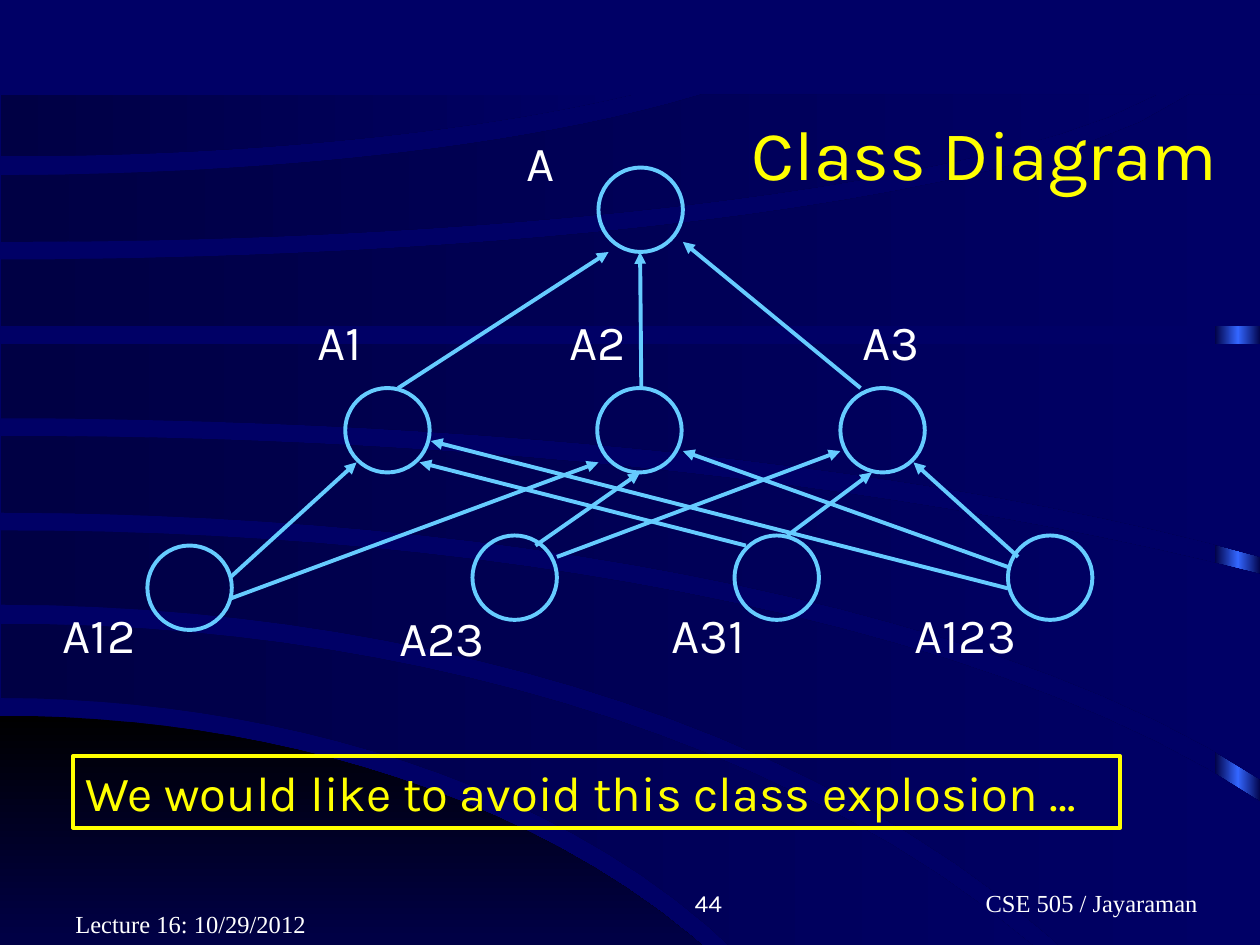
"""Build the class diagram slide with its wave backdrop, ring nodes and arrows."""
from copy import deepcopy
from dataclasses import dataclass
from math import sqrt

from lxml.etree import SubElement
from pptx import Presentation
from pptx.dml.color import RGBColor
from pptx.enum.shapes import MSO_CONNECTOR as Link, MSO_SHAPE as Preset
from pptx.enum.text import MSO_ANCHOR as Anchor, MSO_AUTO_SIZE as Fit, PP_ALIGN as Align
from pptx.oxml.ns import qn
from pptx.util import Inches, Pt

NAVY = RGBColor(0x00, 0x00, 0x66)
DEEP = RGBColor(0x00, 0x00, 0x44)
BLACK = RGBColor(0x00, 0x00, 0x00)
BRIGHT = RGBColor(0x33, 0x66, 0xFF)
SKY = RGBColor(0x66, 0xCC, 0xFF)
YELLOW = RGBColor(0xFF, 0xFF, 0x00)
WHITE = RGBColor(0xFF, 0xFF, 0xFF)
SANS, SERIF = "Karla", "Times New Roman"
STROKE = Pt(2.25)
RING = 0.67
LINE_HEIGHT = 0.57
RIGHT, TOP, BOTTOM = 10.01, 0.75, 8.25
STEPS = 24

Point = tuple[float, float]


@dataclass(frozen=True)
class Edge:
    """Elliptic arc, level at the left, that reaches a given end."""
    level: float
    end: Point
    radius: float = 20

    def points(self, left: float) -> list[Point]:
        """Sample the arc from left to right."""
        end_x, end_y = self.end

        def sag(x: float) -> float:
            return 1 - sqrt(1 - (x / self.radius) ** 2)

        xs = [left + (end_x - left) * step / STEPS for step in range(STEPS + 1)]
        return [(x, self.level + (end_y - self.level) * sag(x) / sag(end_x)) for x in xs]


@dataclass(frozen=True)
class Wave:
    """Band between two edges, with an optional corner at the right."""
    upper: Edge
    lower: Edge
    corner: tuple[Point, ...] = ()
    colors: tuple[RGBColor, RGBColor] = (DEEP, NAVY)
    angle: int = 0
    left: float = 0.01


@dataclass(frozen=True)
class Node:
    """Ring position with the place of its label."""
    name: str
    ring: Point
    label: Point
    height: float = LINE_HEIGHT


@dataclass(frozen=True)
class Arrow:
    """Straight arrow from a subclass to its parent."""
    start: Point
    end: Point


WAVES = [
    Wave(Edge(5.68, (6.29, 8.27), 7), Edge(8.27, (6.29, 8.27)), (), (BLACK, NAVY), 270, 0),
    Wave(Edge(4.95, (8.94, BOTTOM), 10), Edge(5.54, (6.43, BOTTOM), 7)),
    Wave(Edge(4.21, (RIGHT, 6.37), 11.3), Edge(4.8, (9.1, BOTTOM), 10), ((RIGHT, BOTTOM),)),
    Wave(Edge(3.46, (RIGHT, 4.56), 15), Edge(4.07, (RIGHT, 6.19), 11.3)),
    Wave(Edge(2.73, (RIGHT, 2.73)), Edge(3.32, (RIGHT, 4.42), 13)),
    Wave(Edge(2.06, (9.44, TOP), 9.7), Edge(2.59, (RIGHT, 2.59)), ((RIGHT, TOP),)),
    Wave(Edge(1.39, (5.57, TOP), 7), Edge(1.92, (9.18, TOP), 9.6)),
    Wave(Edge(TOP, (5.02, TOP)), Edge(1.24, (5.02, TOP), 7)),
]

NODES = [
    Node("A", (4.75, 1.33), (4.08, 1)),
    Node("A1", (2.74, 3.08), (2.42, 2.42), 1.04),
    Node("A2", (4.74, 3.08), (4.42, 2.42), 1.04),
    Node("A3", (6.67, 3.08), (6.75, 2.42), 1.04),
    Node("A12", (1.17, 4.33), (0.4, 4.75)),
    Node("A23", (3.75, 4.25), (3.07, 4.77)),
    Node("A31", (5.83, 4.25), (5.23, 4.75)),
    Node("A123", (8, 4.25), (7.16, 4.75)),
]

ARROWS = [
    Arrow((3.16, 3.08), (4.83, 2)), Arrow((5.09, 3.08), (5.08, 2)),
    Arrow((6.83, 3.08), (5.42, 1.92)), Arrow((1.83, 4.58), (2.83, 3.67)),
    Arrow((1.83, 4.75), (4.75, 3.67)), Arrow((8, 4.5), (5.42, 3.58)),
    Arrow((5.92, 4.33), (3.33, 3.67)), Arrow((6.25, 4.25), (6.92, 3.75)),
    Arrow((8.08, 4.42), (7.25, 3.67)), Arrow((8, 4.67), (3.42, 3.5)),
    Arrow((4.42, 4.42), (6.67, 3.58)), Arrow((4.25, 4.33), (5.08, 3.75)),
]


def paint_gradient(shape, colors: tuple[RGBColor, ...], angle: int = 0) -> None:
    """Fill a shape with evenly spaced colours and no outline."""
    shape.shadow.inherit = False
    shape.line.fill.background()
    shape.fill.gradient()
    shape.fill.gradient_angle = angle
    stop_list = shape._element.spPr.find(qn("a:gradFill")).find(qn("a:gsLst"))
    for _ in colors[2:]:
        stop_list.append(deepcopy(stop_list[-1]))
    for index, (stop, color) in enumerate(zip(shape.fill.gradient_stops, colors)):
        stop.position = index / (len(colors) - 1)
        stop.color.rgb = color


def draw_wave(page, wave: Wave) -> None:
    """Draw one backdrop band."""
    outline = [*wave.upper.points(wave.left), *wave.corner,
               *reversed(wave.lower.points(wave.left))]
    corners = [(Inches(x), Inches(y)) for x, y in outline]
    builder = page.shapes.build_freeform(*corners[0])
    builder.add_line_segments(corners[1:], close=True)
    paint_gradient(builder.convert_to_shape(), wave.colors, wave.angle)


def add_text(page, text: str, at: Point, extent: Point, *, size: int = 28, font: str = SANS,
             color: RGBColor = WHITE, align: Align = Align.LEFT, anchor: Anchor = Anchor.TOP,
             wrap: bool = False, grow: bool = True, tab: float = 0):
    """Place a one-paragraph text box and return it."""
    box = page.shapes.add_textbox(*map(Inches, at + extent))
    frame = box.text_frame
    frame.word_wrap = wrap
    frame.auto_size = Fit.SHAPE_TO_FIT_TEXT if grow else Fit.NONE
    frame.vertical_anchor = anchor
    para = frame.paragraphs[0]
    para.alignment = align
    if tab:
        tabs = SubElement(para._p.get_or_add_pPr(), qn("a:tabLst"))
        SubElement(tabs, qn("a:tab"), pos=str(Inches(tab)), algn="l")
    span = para.add_run()
    span.text = text
    span.font.name, span.font.size = font, Pt(size)
    span.font.color.rgb = color
    return box


def draw_node(page, node: Node) -> None:
    """Draw a ring and its label."""
    ring = page.shapes.add_shape(Preset.OVAL, *map(Inches, node.ring + (RING, RING)))
    ring.shadow.inherit = False
    ring.fill.background()
    ring.line.color.rgb, ring.line.width = SKY, STROKE
    width = 0.23 + 0.22 * len(node.name)
    add_text(page, node.name, node.label, (width, node.height))


def draw_arrow(page, arrow: Arrow) -> None:
    """Draw a line with a triangle at its end."""
    link = page.shapes.add_connector(Link.STRAIGHT, *map(Inches, arrow.start + arrow.end))
    link.line.color.rgb, link.line.width = SKY, STROKE
    properties = link._element.spPr
    SubElement(properties.find(qn("a:ln")), qn("a:tailEnd"), type="triangle")
    SubElement(properties, qn("a:effectLst"))


def main() -> None:
    """Compose the slide and save it."""
    deck = Presentation()
    deck.slide_width, deck.slide_height = Inches(10), Inches(7.5)
    page = deck.slides.add_slide(deck.slide_layouts[6])
    page.background.fill.solid()
    page.background.fill.fore_color.rgb = NAVY
    bar = page.shapes.add_shape(Preset.RECTANGLE, *map(Inches, (9.64, 0.77, 0.37, 7.5)))
    paint_gradient(bar, (DEEP, BRIGHT, DEEP))
    for wave in WAVES:
        draw_wave(page, wave)
    for node in NODES:
        draw_node(page, node)
    for arrow in ARROWS:
        draw_arrow(page, arrow)
    banner = add_text(page, "We would like to avoid this class explosion …", (0.58, 6),
                      (8.31, LINE_HEIGHT), color=YELLOW)
    banner.line.color.rgb, banner.line.width = YELLOW, STROKE
    add_text(page, "Class Diagram", (5.87, 0.83), (3.94, 0.77), size=40, color=YELLOW)
    footer = dict(size=14, anchor=Anchor.BOTTOM, wrap=True, grow=False)
    add_text(page, "Lecture 16: 10/29/2012", (0.5, 7), (2.08, 0.5), font=SERIF, **footer)
    add_text(page, "44", (3.75, 6.83), (2.08, 0.5), align=Align.RIGHT, **footer)
    add_text(page, "\tCSE 505 / Jayaraman", (6.58, 6.83), (3.17, 0.5), font=SERIF,
             align=Align.CENTER, tab=1, **footer)
    deck.save("out.pptx")


if __name__ == "__main__":
    main()
